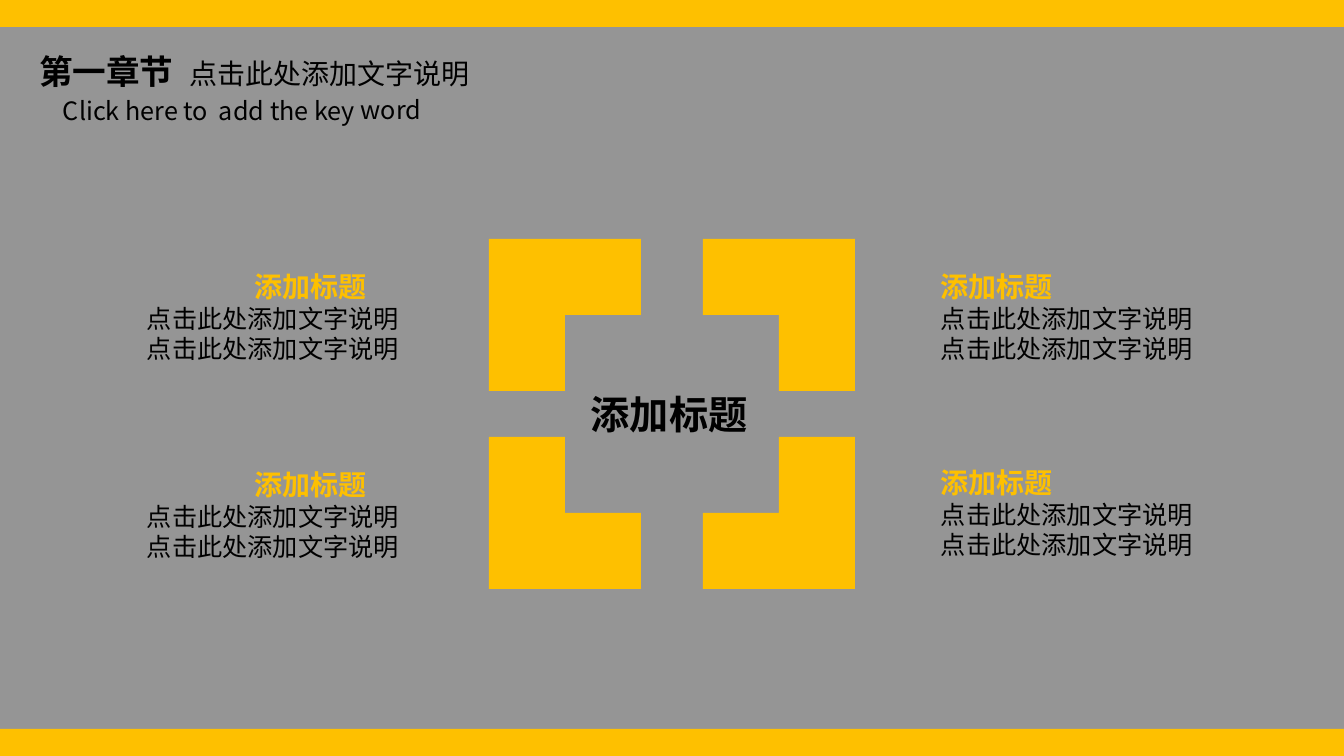
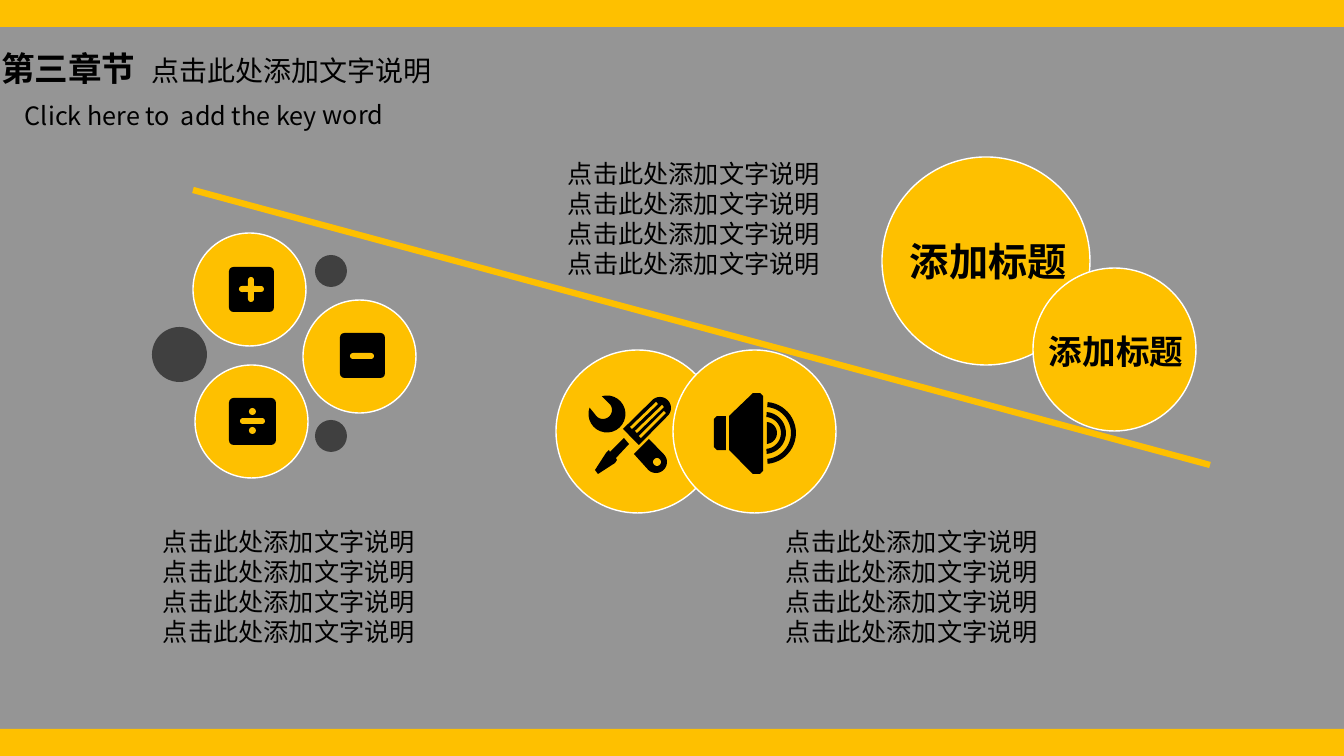
import math
from dataclasses import dataclass

from lxml import etree
from pptx import Presentation
from pptx.dml.color import RGBColor
from pptx.enum import shapes, text
from pptx.oxml.ns import qn
from pptx.util import Emu, Pt

PX = 914400 / 100.8  # EMU in one px
WIDTH, HEIGHT, BAND = 1344, 756, 27
NOTE = "点击此处添加文字说明"
HEADING = "添加标题"
KEY_WORD = "Click here to\tadd the key word"
SHAPE = shapes.MSO_SHAPE


@dataclass(frozen=True)
class Theme:
    font: str = "Noto Sans CJK SC"
    accent: str = "FEC000"
    panel: str = "959595"
    ink: str = "000000"
    dot: str = "404040"
    rim: str = "FFFFFF"
    hub: int = 28
    title: int = 24
    heading: int = 20
    body: int = 18


THEME = Theme()


def px(n):
    return Emu(round(n * PX))


def rgb(color):
    return RGBColor.from_string(color)


def write(p, words, *, size=THEME.body, color=THEME.ink, bold=False,
          indent=0, tab=0):
    """Add a formatted run to a paragraph, with an optional indent or tab stop."""
    pPr = p._p.get_or_add_pPr()
    if indent:
        pPr.set("marL", str(px(indent)))
        pPr.set("indent", "0")
    if tab:
        stops = etree.SubElement(pPr, qn("a:tabLst"))
        etree.SubElement(stops, qn("a:tab"), pos=str(px(tab)), algn="l")
    r = p.add_run()
    r.text = words
    r.font.name, r.font.size, r.font.bold = THEME.font, Pt(size), bold
    r.font.color.rgb = rgb(color)
    etree.SubElement(r._r.get_or_add_rPr(), qn("a:ea"), typeface=THEME.font)


def arc(cx, cy, radius, start, end, steps=24):
    """Points on an arc; degrees run clockwise from the right."""
    angles = [math.radians(start + (end - start) * i / steps)
              for i in range(steps + 1)]
    return [(cx + radius * math.cos(a), cy + radius * math.sin(a))
            for a in angles]


class Deck:
    def __init__(self):
        self.prs = Presentation()
        self.prs.slide_width, self.prs.slide_height = px(WIDTH), px(HEIGHT)
        fill = self.prs.slide_master.background.fill
        fill.solid()
        fill.fore_color.rgb = rgb(THEME.panel)
        self.s = None

    def new_slide(self, chapter, x, y, key_word_y):
        """Start a slide with its bands, title and key word line."""
        self.s = self.prs.slides.add_slide(self.prs.slide_layouts[5])
        for top in (0, HEIGHT - BAND):
            self.shape(SHAPE.RECTANGLE, 0, top, WIDTH, BAND)
        title = self.s.shapes.title
        title.left, title.top = px(x), px(y)
        title.width, title.height = px(455), px(50)
        p = self.frame(title).paragraphs[0]
        p.alignment = text.PP_ALIGN.LEFT
        write(p, chapter + "\t", size=THEME.title, bold=True, tab=150)
        write(p, NOTE, size=THEME.heading)
        key_word = self.text(x + 24, key_word_y, 408, 40,
                             (KEY_WORD, {"tab": 156}))
        key_word.rotation = 359.9

    def frame(self, sp):
        tf = sp.text_frame
        tf.word_wrap = True
        tf.auto_size = text.MSO_AUTO_SIZE.NONE
        tf.vertical_anchor = text.MSO_ANCHOR.TOP
        return tf

    def text(self, x, y, w, h, *paragraphs):
        """Add a text box; each paragraph is (words, format)."""
        sp = self.s.shapes.add_textbox(px(x), px(y), px(w), px(h))
        tf = self.frame(sp)
        for i, (words, style) in enumerate(paragraphs):
            p = tf.add_paragraph() if i else tf.paragraphs[0]
            write(p, words, **style)
        return sp

    def label(self, x, y, w, size):
        self.text(x, y, w, 2 * size, (HEADING, {"size": size, "bold": True}))

    def paint(self, sp, color, rim=None):
        sp.shadow.inherit = False
        sp.fill.solid()
        sp.fill.fore_color.rgb = rgb(color)
        if rim:
            sp.line.color.rgb, sp.line.width = rgb(rim), Pt(1)
        else:
            sp.line.fill.background()
        return sp

    def shape(self, kind, x, y, w, h, color=THEME.accent, rim=None):
        sp = self.s.shapes.add_shape(kind, px(x), px(y), px(w), px(h))
        return self.paint(sp, color, rim)

    def circle(self, x, y, size, color=THEME.accent, rim=None):
        self.shape(SHAPE.OVAL, x, y, size, size, color, rim)

    def rounded(self, x, y, w, h, radius, color=THEME.accent):
        sp = self.shape(SHAPE.ROUNDED_RECTANGLE, x, y, w, h, color)
        sp.adjustments[0] = radius

    def outline(self, points, color=THEME.ink):
        (x, y), *rest = [(px(a), px(b)) for a, b in points]
        builder = self.s.shapes.build_freeform(x, y)
        builder.add_line_segments(rest, close=True)
        self.paint(builder.convert_to_shape(), color)

    def corner(self, x, y, dx, dy, arm=76):
        """L piece with its outer corner at x, y, reaching towards dx, dy."""
        steps = ((0, 0), (2, 0), (2, 1), (1, 1), (1, 2), (0, 2))
        self.outline([(x + dx * arm * i, y + dy * arm * j) for i, j in steps],
                     THEME.accent)

    def line(self, x1, y1, x2, y2, width):
        c = self.s.shapes.add_connector(shapes.MSO_CONNECTOR.STRAIGHT,
                                        px(x1), px(y1), px(x2), px(y2))
        c.line.color.rgb, c.line.width = rgb(THEME.accent), Pt(width)
        etree.SubElement(c._element.spPr, qn("a:effectLst"))


def frame_slide(deck):
    deck.new_slide("第一章节", 29, 46, 90)

    # Four corner pieces around the hub
    for x, dx in ((489, 1), (855, -1)):
        for y, dy in ((239, 1), (589, -1)):
            deck.corner(x, y, dx, dy)

    # One note beside each corner
    for x, y, indent in ((931, 265, 0), (931, 461, 0),
                         (137, 265, 108), (137, 463, 108)):
        heading = {"size": THEME.heading, "color": THEME.accent,
                   "bold": True, "indent": indent}
        deck.text(x, y, 295, 105, (HEADING, heading), (NOTE, {}), (NOTE, {}))
    deck.label(581, 385, 182, THEME.hub)


def maths_icons(deck):
    # Tiles with plus, minus and divide signs
    for x, y, size in ((229, 267, 45), (340, 333, 45), (229, 398, 47)):
        deck.rounded(x, y, size, size, 0.1, THEME.ink)
    for x, y, w, h in ((239, 286, 25, 6), (248, 277, 6, 25),
                       (350, 353, 24, 6), (240, 418, 25, 6)):
        deck.rounded(x, y, w, h, 0.5)
    for y in (408, 427):
        deck.circle(249, y, 7)


def tools_icon(deck):
    # Screwdriver: grooved handle and blade
    deck.outline([(639, 445), (623, 429)] + arc(660, 408, 11, 225, 405))
    for groove in ((631, 428, 657, 403), (636, 432, 663, 406),
                   (640, 437, 665, 412)):
        deck.line(*groove, 2)
    deck.outline([(617, 460), (616, 458), (629, 444), (624, 438), (610, 452),
                  (609, 450), (606, 453), (595, 470), (598, 474), (615, 463)])
    # Wrench: open jaw and handle with its hole
    deck.outline(arc(607, 414, 18.5, 254, 560) + arc(603, 410, 9, 135, -45))
    deck.outline([(649, 439), (634, 454)] + arc(656, 462, 11, 135, -45))
    deck.circle(653, 458, 8)


def speaker_icon(deck):
    deck.outline([(729, 416), (753, 393), (760, 393), (763, 396), (763, 471),
                  (760, 474), (753, 474), (729, 450)])
    deck.outline([(717, 416), (726, 416), (726, 450), (717, 450), (714, 447),
                  (714, 419)])
    # Sound waves
    deck.outline(arc(766, 433, 11, -85, 85))
    for inner in (16, 26):
        deck.outline(arc(765, 433, inner + 5, -85, 85)
                     + arc(765, 433, inner, 85, -85))


def balance_slide(deck):
    deck.new_slide("第三章节", -9, 43, 95)
    note = [(NOTE, {}), (NOTE * 2, {}), (NOTE, {})]

    # Circles on both sides of the beam
    for x, y, size in ((556, 350, 163), (673, 350, 163), (193, 233, 113),
                       (303, 300, 113), (195, 365, 113), (882, 157, 208)):
        deck.circle(x, y, size, rim=THEME.rim)
    for x, y, size in ((152, 327, 55), (315, 255, 32), (315, 420, 32)):
        deck.circle(x, y, size, THEME.dot)

    # Notes, first label and beam
    for x, y in ((153, 521), (776, 521), (558, 153)):
        deck.text(x, y, 295, 132, *note)
    deck.label(900, 232, 182, THEME.hub)
    deck.line(193, 190, 1210, 465, 4.5)

    # Icons
    maths_icons(deck)
    tools_icon(deck)
    speaker_icon(deck)

    # Front circle with its label
    deck.circle(1033, 268, 163, rim=THEME.rim)
    deck.label(1039, 326, 158, THEME.title)


def main():
    deck = Deck()
    frame_slide(deck)
    balance_slide(deck)
    deck.prs.save("out.pptx")


if __name__ == "__main__":
    main()
